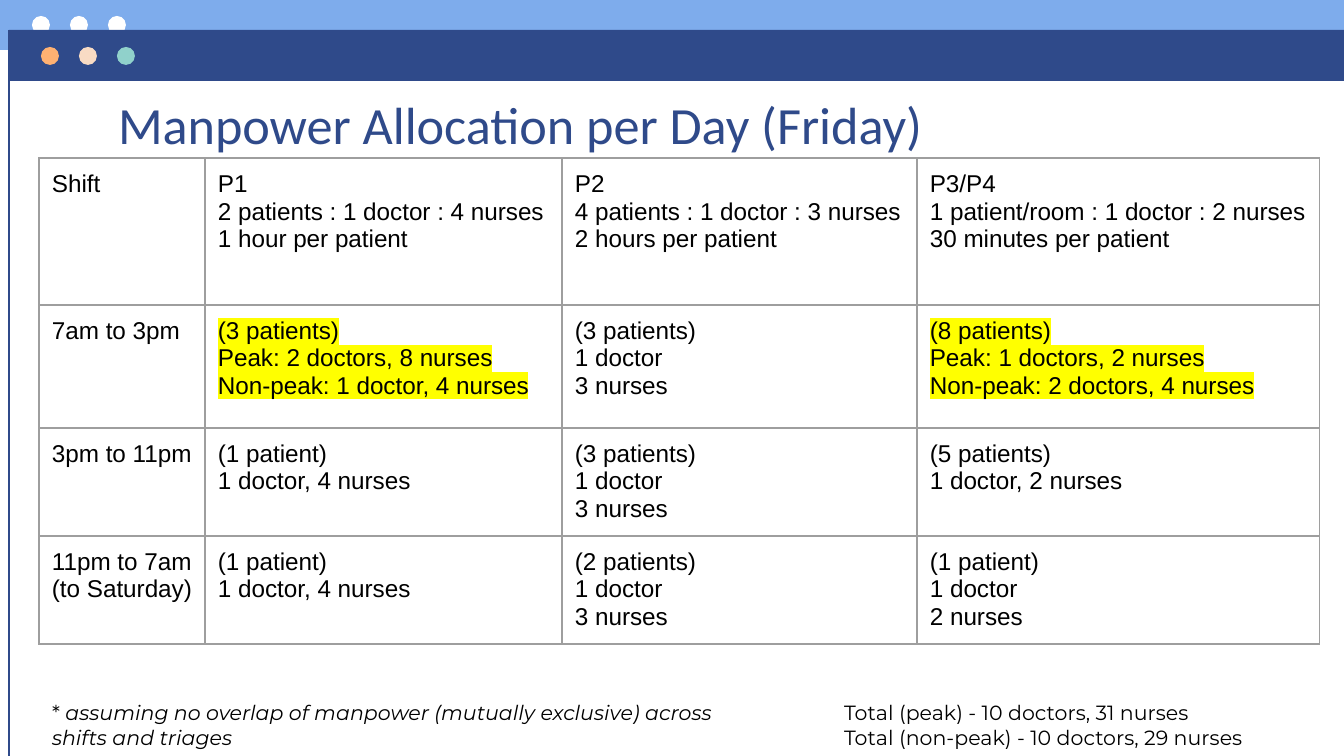
import pptx
import pptx.dml.color
import pptx.enum.shapes
import pptx.enum.text
import pptx.oxml
import pptx.oxml.ns
import pptx.util

PX = 6804
INSET = 13 * PX
NAVY = "2F4A8A"
YELLOW = "FFFF00"
GRID = "9E9E9E"
SHAPE = pptx.enum.shapes.MSO_SHAPE
NAMESPACE = pptx.oxml.ns.nsdecls("a")


def color(value):
    return pptx.dml.color.RGBColor.from_string(value)


def write(frame, text, size=13, font="Arial", ink="000000", highlight=None, italic_tail=""):
    frame.text = text
    frame.word_wrap = True
    frame.vertical_anchor = pptx.enum.text.MSO_ANCHOR.TOP
    frame.margin_left = frame.margin_right = INSET
    frame.margin_top = frame.margin_bottom = INSET
    if italic_tail:
        frame.paragraphs[-1].add_run().text = italic_tail
    for para in frame.paragraphs:
        para.alignment = pptx.enum.text.PP_ALIGN.LEFT
        for span in para.runs:
            span.font.size = pptx.util.Pt(size)
            span.font.italic = span.text == italic_tail
            span.font.color.rgb = color(ink)
            if highlight:
                span.font._element.append(pptx.oxml.parse_xml(
                    f'<a:highlight {NAMESPACE}><a:srgbClr val="{highlight}"/></a:highlight>'))
            span.font.name = font


deck = pptx.Presentation()
deck.slide_width = 1344 * PX
deck.slide_height = 756 * PX
page = deck.slides.add_slide(deck.slide_layouts[5])

header = [(SHAPE.RECTANGLE, 0, 0, 1344, 50, "7EACEC")]
for column in range(3):
    header.append((SHAPE.OVAL, 32 + 38 * column, 16, 18, 18, "FFFFFF"))
header.append((SHAPE.RECTANGLE, 9, 30, 1335, 51, NAVY))
for column, fill in enumerate(["FFB172", "F8DBC4", "90D1CB"]):
    header.append((SHAPE.OVAL, 41 + 38 * column, 47, 18, 18, fill))

for kind, left, top, width, height, fill in header:
    shape = page.shapes.add_shape(kind, left * PX, top * PX, width * PX, height * PX)
    shape.shadow.inherit = False
    shape.fill.solid()
    shape.fill.fore_color.rgb = color(fill)
    shape.line.fill.background()

edge = page.shapes.add_connector(
    pptx.enum.shapes.MSO_CONNECTOR.STRAIGHT, 9 * PX, 30 * PX, 9 * PX, 756 * PX)
edge.line.color.rgb = color(NAVY)
edge.line.width = pptx.util.Pt(0.75)
edge._element.spPr.append(pptx.oxml.parse_xml(f"<a:effectLst {NAMESPACE}/>"))

title = page.shapes.title
title.left, title.top, title.width, title.height = 105 * PX, 79 * PX, 1134 * PX, 69 * PX
write(title.text_frame, "Manpower Allocation per Day (Friday)", size=28, font="Calibri", ink=NAVY)
title.text_frame.auto_size = pptx.enum.text.MSO_AUTO_SIZE.NONE

rows = [
    ["Shift",
     "P1\n2 patients : 1 doctor : 4 nurses\n1 hour per patient",
     "P2\n4 patients : 1 doctor : 3 nurses\n2 hours per patient",
     "P3/P4\n1 patient/room : 1 doctor : 2 nurses\n30 minutes per patient"],
    ["7am to 3pm",
     "(3 patients)\nPeak: 2 doctors, 8 nurses\nNon-peak: 1 doctor, 4 nurses",
     "(3 patients)\n1 doctor\n3 nurses",
     "(8 patients)\nPeak: 1 doctors, 2 nurses\nNon-peak: 2 doctors, 4 nurses"],
    ["3pm to 11pm",
     "(1 patient)\n1 doctor, 4 nurses",
     "(3 patients)\n1 doctor\n3 nurses",
     "(5 patients)\n1 doctor, 2 nurses"],
    ["11pm to 7am\n(to Saturday)",
     "(1 patient)\n1 doctor, 4 nurses",
     "(2 patients)\n1 doctor\n3 nurses",
     "(1 patient)\n1 doctor\n2 nurses"],
]
widths = [166, 357, 355, 403]
heights = [147, 123, 108, 108]
table = page.shapes.add_table(
    4, 4, 39 * PX, 158 * PX, sum(widths) * PX, sum(heights) * PX).table
table.first_row = False
table.horz_banding = False
for column, width in zip(table.columns, widths):
    column.width = width * PX
for row, height in zip(table.rows, heights):
    row.height = height * PX

for row, texts in zip(table.rows, rows):
    for cell, text in zip(row.cells, texts):
        write(cell.text_frame, text, highlight=YELLOW if "Peak" in text else None)
        cell.margin_left = cell.margin_right = INSET
        cell.margin_top = cell.margin_bottom = INSET
        properties = cell._tc.get_or_add_tcPr()
        for side in ["lnL", "lnR", "lnT", "lnB"]:
            properties.append(pptx.oxml.parse_xml(
                f'<a:{side} {NAMESPACE} w="9525"><a:solidFill>'
                f'<a:srgbClr val="{GRID}"/></a:solidFill></a:{side}>'))
        cell.fill.background()

notes = [
    (831, 490, "Total (peak) - 10 doctors, 31 nurses\nTotal (non-peak) - 10 doctors, 29 nurses", ""),
    (39, 688, "* ",
     "assuming no overlap of manpower (mutually exclusive) across shifts and triages"),
]
for left, width, text, italic_tail in notes:
    box = page.shapes.add_textbox(left * PX, 687 * PX, width * PX, 76 * PX)
    write(box.text_frame, text, size=11, font="Montserrat", italic_tail=italic_tail)

deck.save("out.pptx")
